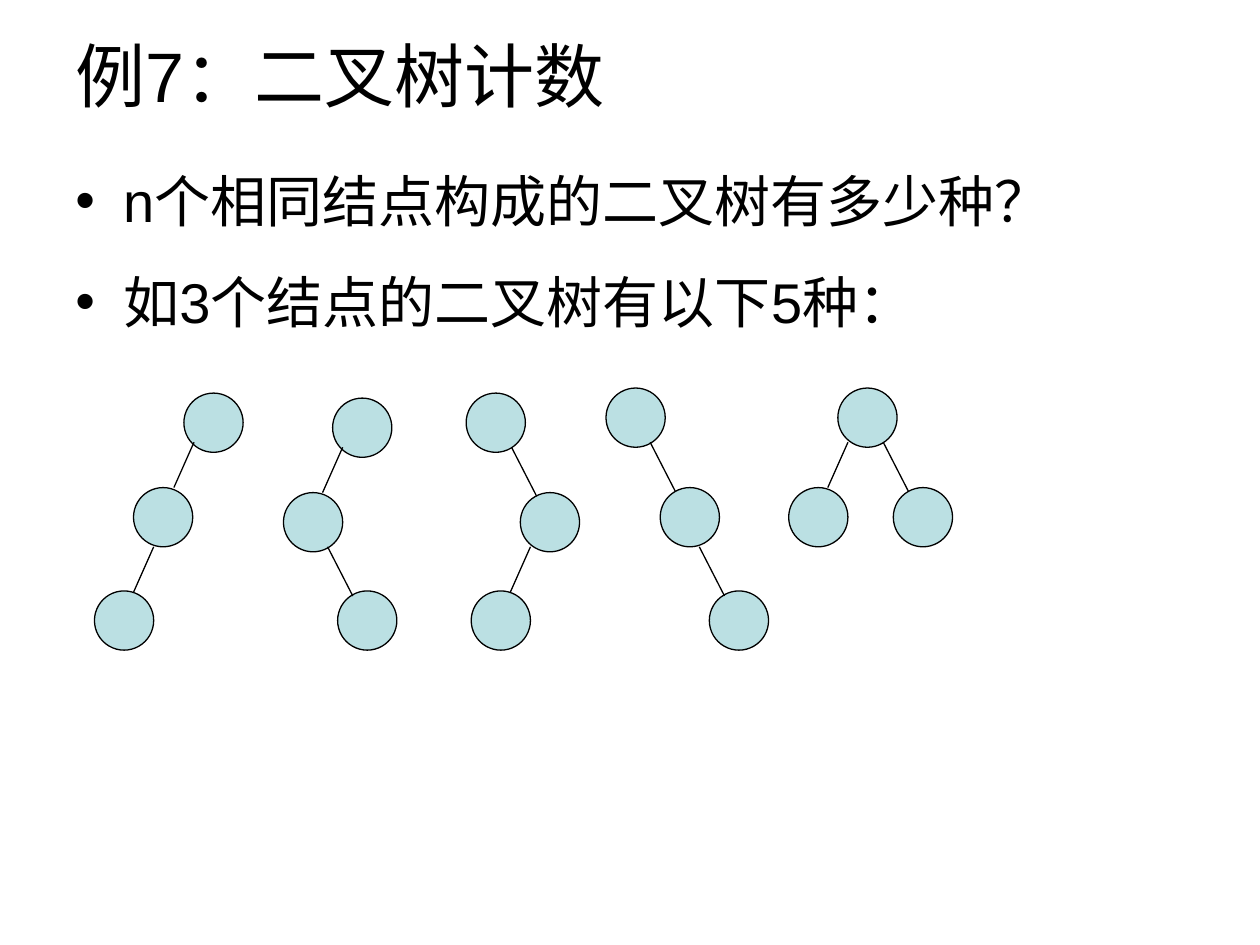
from dataclasses import dataclass

from lxml.etree import SubElement
from pptx import Presentation
from pptx.dml.color import RGBColor
from pptx.enum.shapes import MSO_CONNECTOR, MSO_SHAPE
from pptx.enum.text import MSO_ANCHOR, MSO_AUTO_SIZE, PP_ALIGN
from pptx.oxml.ns import qn
from pptx.util import Inches, Pt


@dataclass(frozen=True)
class Theme:
    font: str = "Arial"
    ink: RGBColor = RGBColor(0x00, 0x00, 0x00)
    node_fill: RGBColor = RGBColor(0xBB, 0xE0, 0xE3)
    title_size: int = 40
    body_size: int = 32
    line_width: float = 0.75


NODE_SIZE = 0.47
EDGE_STEPS = {"left": (-0.16, 0.36), "right": (0.2, 0.39)}
BULLETS = ["n个相同结点构成的二叉树有多少种？", "如3个结点的二叉树有以下5种："]
TREES = [
    {
        "nodes": [(1.46, 3.12), (1.06, 3.87), (0.75, 4.69)],
        "edges": [("left", 1.54, 3.51), ("left", 1.22, 4.34)],
    },
    {
        "nodes": [(2.64, 3.16), (2.25, 3.91), (2.68, 4.69)],
        "edges": [("left", 2.72, 3.55), ("right", 2.6, 4.34)],
    },
    {
        "nodes": [(3.7, 3.12), (4.13, 3.91), (3.74, 4.69)],
        "edges": [("right", 4.06, 3.55), ("left", 4.21, 4.34)],
    },
    {
        "nodes": [(4.81, 3.08), (5.24, 3.87), (5.63, 4.69)],
        "edges": [("right", 5.16, 3.51), ("right", 5.55, 4.34)],
    },
    {
        "nodes": [(6.65, 3.08), (6.26, 3.87), (7.09, 3.87)],
        "edges": [("left", 6.73, 3.51), ("right", 7.01, 3.51)],
    },
]


def write_text(paragraph, text, *, font, size, color, bullet=None,
               indent=0, line_spacing=1.0, space_before=0):
    if bullet:
        properties = paragraph._p.get_or_add_pPr()
        properties.set("marL", str(Inches(indent)))
        properties.set("indent", str(-Inches(indent)))
        SubElement(properties, qn("a:buFont"), typeface=font)
        SubElement(properties, qn("a:buChar"), char=bullet)
    paragraph.alignment = PP_ALIGN.LEFT
    paragraph.line_spacing = line_spacing
    paragraph.space_before = Pt(space_before)
    run = paragraph.add_run()
    run.text = text
    run.font.name = font
    run.font.size = Pt(size)
    run.font.color.rgb = color


class SlideBuilder:
    def __init__(self, slide, theme):
        self.slide = slide
        self.theme = theme

    def title(self, text, left, top, width, height):
        shape = self.slide.shapes.title
        shape.left, shape.top = Inches(left), Inches(top)
        shape.width, shape.height = Inches(width), Inches(height)
        frame = shape.text_frame
        frame.auto_size = MSO_AUTO_SIZE.NONE
        frame.vertical_anchor = MSO_ANCHOR.MIDDLE
        write_text(frame.paragraphs[0], text, font=self.theme.font,
                   size=self.theme.title_size, color=self.theme.ink)

    def bullets(self, lines, left, top, width, height):
        shape = self.slide.shapes.add_textbox(
            Inches(left), Inches(top), Inches(width), Inches(height))
        frame = shape.text_frame
        frame.word_wrap = True
        for index, line in enumerate(lines):
            paragraph = frame.add_paragraph() if index else frame.paragraphs[0]
            write_text(paragraph, line, font=self.theme.font,
                       size=self.theme.body_size, color=self.theme.ink,
                       bullet="•", indent=0.38, line_spacing=1.3,
                       space_before=8 if index else 0)

    def outline(self, shape):
        shape.line.color.rgb = self.theme.ink
        shape.line.width = Pt(self.theme.line_width)

    def node(self, group, left, top):
        shape = group.shapes.add_shape(
            MSO_SHAPE.OVAL, Inches(left), Inches(top),
            Inches(NODE_SIZE), Inches(NODE_SIZE))
        shape.shadow.inherit = False
        shape.fill.solid()
        shape.fill.fore_color.rgb = self.theme.node_fill
        shape.text_frame.paragraphs[0].font.color.rgb = self.theme.ink
        self.outline(shape)

    def edge(self, group, side, left, top):
        across, down = EDGE_STEPS[side]
        connector = group.shapes.add_connector(
            MSO_CONNECTOR.STRAIGHT, Inches(left), Inches(top),
            Inches(left + across), Inches(top + down))
        self.outline(connector)
        SubElement(connector._element.spPr, qn("a:effectLst"))

    def tree(self, nodes, edges):
        group = self.slide.shapes.add_group_shape()
        for position in nodes:
            self.node(group, *position)
        for edge in edges:
            self.edge(group, *edge)


def main():
    presentation = Presentation()
    presentation.slide_width = Inches(10)
    presentation.slide_height = Inches(7.5)
    slide = presentation.slides.add_slide(presentation.slide_layouts[5])
    builder = SlideBuilder(slide, Theme())
    builder.title("例7：二叉树计数", 0.5, 0.25, 9, 0.69)
    builder.bullets(BULLETS, 0.5, 1.11, 9, 5.59)
    for tree in TREES:
        builder.tree(**tree)
    presentation.save("out.pptx")


if __name__ == "__main__":
    main()
